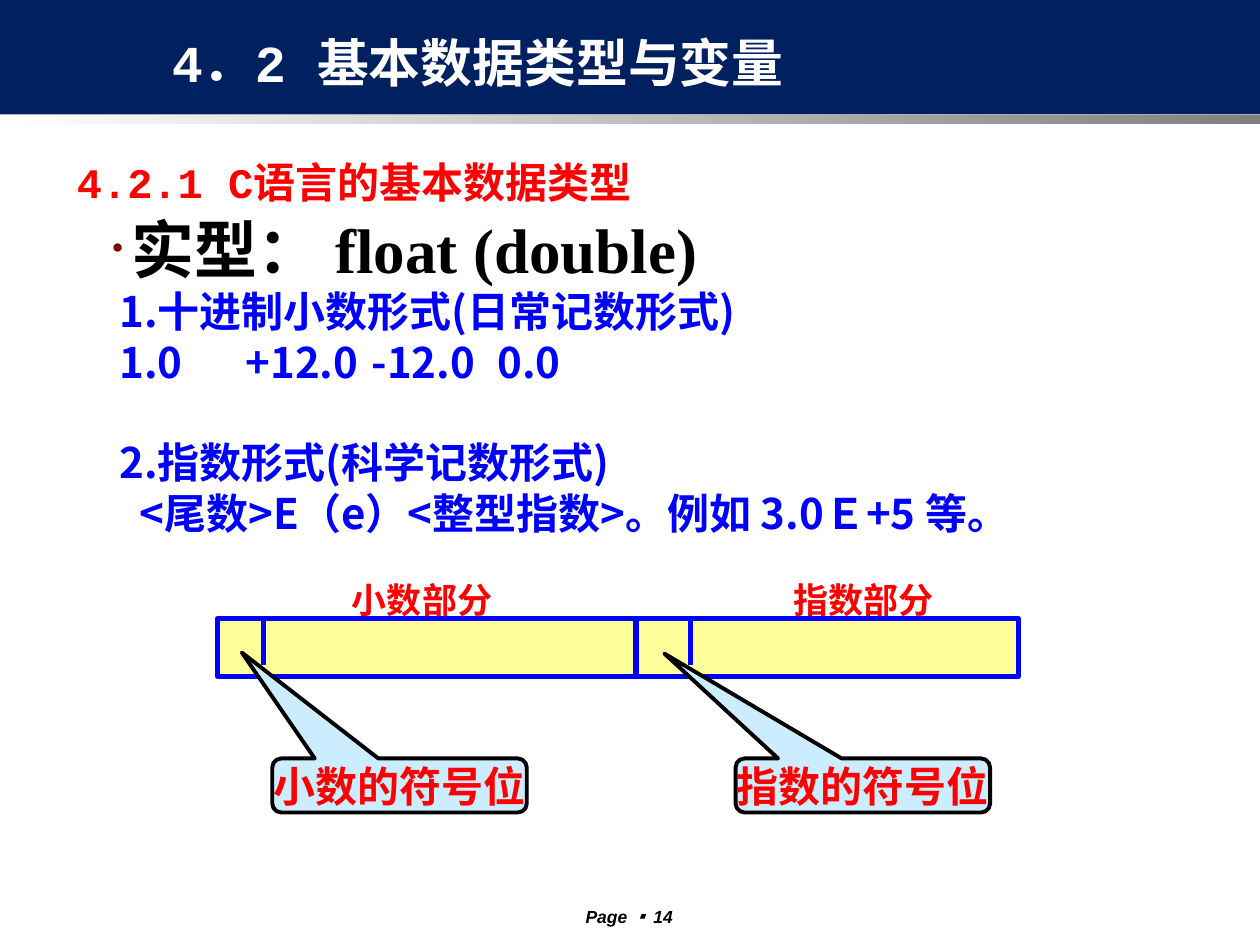
from dataclasses import dataclass

from lxml import etree
from pptx import Presentation
from pptx.dml.color import RGBColor
from pptx.enum.shapes import MSO_CONNECTOR, MSO_SHAPE
from pptx.enum.text import MSO_ANCHOR, PP_ALIGN
from pptx.oxml.ns import qn
from pptx.util import Cm, Pt

RECT = MSO_SHAPE.RECTANGLE
BUBBLE = MSO_SHAPE.ROUNDED_RECTANGULAR_CALLOUT
STRAIGHT = MSO_CONNECTOR.STRAIGHT
MIDDLE = MSO_ANCHOR.MIDDLE
CENTER = PP_ALIGN.CENTER
LEFT = PP_ALIGN.LEFT

COLORS = {
    "navy": "002060", "white": "FFFFFF", "gray": "808080", "black": "000000",
    "red": "FF0000", "blue": "0000FF", "maroon": "800000",
    "yellow": "FFFF99", "sky": "CCECFF",
}
SERIF, MONO, SANS, CJK = "Times New Roman", "Courier New", "Arial", "Noto Sans CJK SC"
WIDE, HIGH = 25.4, 19.05
BAR_TOP, BAR_HIGH, CUT_HIGH = 12.47, 1.17, 0.94


@dataclass
class Box:
    left: float
    top: float
    width: float
    height: float

    def lengths(self) -> tuple:
        return Cm(self.left), Cm(self.top), Cm(self.width), Cm(self.height)


@dataclass
class Style:
    size: float
    font: str
    color: str
    italic: bool = False


@dataclass
class Part:
    """One half of the number layout: a field, its sign bit and their labels."""
    label: str
    label_left: float
    label_width: float
    left: float
    width: float
    cut: float
    note: str
    note_left: float
    tip: tuple[float, float]


@dataclass
class Line:
    text: str
    indent: float = 0
    gap: float = 0
    stops: tuple[float, ...] = ()


PARTS = [
    Part("小数部分", 6.4, 4.22, 4.39, 8.43, 5.31, "小数的符号位", 5.49, (-0.62, -2.46)),
    Part("指数部分", 15.39, 4.04, 12.83, 7.7, 13.92, "指数的符号位", 14.83, (-0.78, -2.44)),
]
LINES = [
    Line("1.十进制小数形式(日常记数形式)", 1.27),
    Line("\t1.0\t+12.0\t-12.0\t0.0", stops=(2.82, 4.67, 7.52, 10.39)),
    Line("2.指数形式(科学记数形式)", 1.27, gap=28.8),
    Line("<尾数>E（e）<整型指数>。例如 3.0Ｅ+5 等。", 1.68),
]


def paint(name: str) -> RGBColor:
    return RGBColor.from_string(COLORS[name])


def add_run(para, text: str, style: Style) -> None:
    run = para.add_run()
    run.text = text
    font = run.font
    font.size, font.name = Pt(style.size), style.font
    font.bold, font.italic = True, style.italic
    font.color.rgb = paint(style.color)


def add_text(slide, box: Box, align=LEFT):
    """Add a wrapped text box and return its first paragraph."""
    frame = slide.shapes.add_textbox(*box.lengths()).text_frame
    frame.word_wrap = True
    para = frame.paragraphs[0]
    para.alignment = align
    return para


def add_block(slide, kind, box: Box, fill: str, line: str = "", weight: float = 0):
    shape = slide.shapes.add_shape(kind, *box.lengths())
    shape.shadow.inherit = False
    shape.fill.solid()
    shape.fill.fore_color.rgb = paint(fill)
    if line:
        shape.line.color.rgb = paint(line)
        shape.line.width = Pt(weight)
    else:
        shape.line.fill.background()
    return shape


def add_cut(slide, x: float) -> None:
    """Draw the line that splits the sign bit from its field."""
    cut = slide.shapes.add_connector(
        STRAIGHT, Cm(x), Cm(BAR_TOP), Cm(x), Cm(BAR_TOP + CUT_HIGH))
    cut.line.color.rgb = paint("blue")
    cut.line.width = Pt(3)
    etree.SubElement(cut._element.spPr, qn("a:effectLst"))


def add_part(slide, part: Part) -> None:
    label = Box(part.label_left, 11.53, part.label_width, 1.12)
    add_run(add_text(slide, label, CENTER), part.label, Style(20, SERIF, "red"))
    field = Box(part.left, BAR_TOP, part.width, BAR_HIGH)
    add_block(slide, RECT, field, "yellow", "blue", 3)
    add_cut(slide, part.cut)
    note = add_block(slide, BUBBLE, Box(part.note_left, 15.29, 5.13, 1.09),
                     "sky", "black", 2.25)
    note.adjustments[0], note.adjustments[1] = part.tip
    frame = note.text_frame
    frame.word_wrap = False
    frame.vertical_anchor = MIDDLE
    para = frame.paragraphs[0]
    para.alignment = CENTER
    add_run(para, part.note, Style(24, SERIF, "red"))


def add_bullet(para) -> None:
    props = para._p.get_or_add_pPr()
    props.set("marL", str(Cm(1.52)))
    props.set("indent", str(-Cm(0.41)))
    tint = etree.SubElement(props, qn("a:buClr"))
    etree.SubElement(tint, qn("a:srgbClr"), val=COLORS["maroon"])
    etree.SubElement(props, qn("a:buSzPct"), val="55000")
    etree.SubElement(props, qn("a:buFont"), typeface=SERIF)
    etree.SubElement(props, qn("a:buChar"), char="•")


def add_line(frame, line: Line) -> None:
    para = frame.add_paragraph()
    props = para._p.get_or_add_pPr()
    props.set("marL", str(Cm(line.indent)))
    props.set("indent", "0")
    if line.gap:
        para.space_before = Pt(line.gap)
    if line.stops:
        tabs = etree.SubElement(props, qn("a:tabLst"))
        for stop in line.stops:
            etree.SubElement(tabs, qn("a:tab"), pos=str(Cm(stop)), algn="l")
    add_run(para, line.text, Style(24, CJK, "blue"))


def add_body(slide) -> None:
    para = add_text(slide, Box(0.89, 4.11, 23.7, 8.03))
    add_bullet(para)
    add_run(para, "实型： float\u2002(double)".replace("\u2002", " "), Style(36, SERIF, "black"))
    for line in LINES:
        add_line(para._parent, line)


def add_title(slide) -> None:
    title = slide.shapes.title
    title.left, title.top, title.width, title.height = Box(1.57, 0.53, 16.13, 1.6).lengths()
    frame = title.text_frame
    frame.word_wrap = True
    frame.vertical_anchor = MIDDLE
    para = frame.paragraphs[0]
    para.alignment = CENTER
    para.line_spacing = 0.9
    add_run(para, "4．2 基本数据类型与变量", Style(29.6, MONO, "white"))
    slide.shapes._spTree.append(title._element)  # bring in front of the band


def add_frame(slide) -> None:
    """Draw the header band, its fading rule and the page number."""
    add_block(slide, RECT, Box(0, 0, WIDE, 2.31), "navy")
    rule = add_block(slide, RECT, Box(0, 2.31, WIDE, 0.2), "gray")
    rule.fill.gradient()
    rule.fill.gradient_angle = 0
    for stop, name, spot in zip(rule.fill.gradient_stops, ("white", "gray"), (0, 1)):
        stop.color.rgb = paint(name)
        stop.position = spot
    page = add_text(slide, Box(10.69, 18.14, 3.99, 0.56), CENTER)
    for text, font in (("Page ", SANS), ("▪ ", "Noto Sans CJK JP"), ("14", SANS)):
        add_run(page, text, Style(10, font, "black", True))


def main() -> None:
    deck = Presentation()
    deck.slide_width, deck.slide_height = Cm(WIDE), Cm(HIGH)
    slide = deck.slides.add_slide(deck.slide_layouts[5])
    add_frame(slide)
    head = add_text(slide, Box(1.3, 2.92, 13.61, 1.37))
    head.line_spacing = 1.1
    add_run(head, "4.2.1 C语言的基本数据类型", Style(24, MONO, "red"))
    add_body(slide)
    for part in PARTS:
        add_part(slide, part)
    add_title(slide)
    deck.save("out.pptx")


if __name__ == "__main__":
    main()
